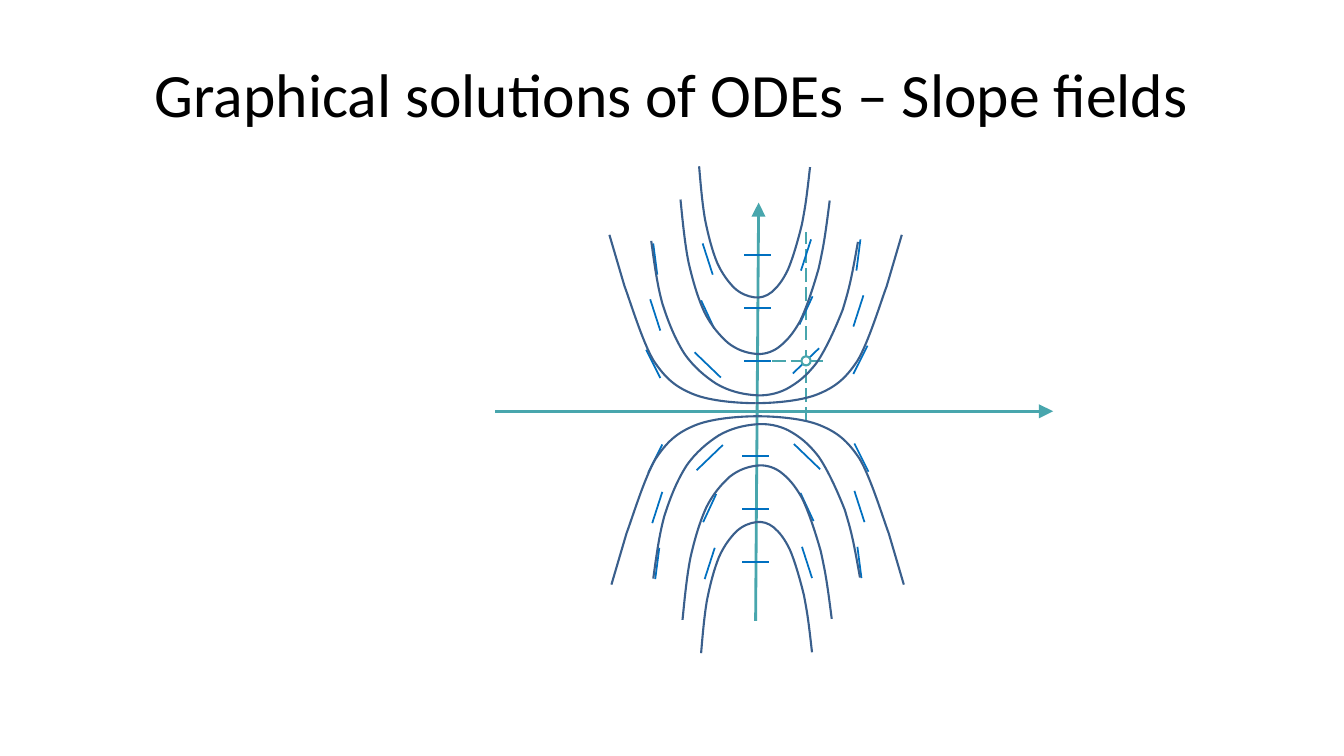
from lxml import etree
from pptx import Presentation
from pptx.dml.color import RGBColor
from pptx.enum.dml import MSO_LINE
from pptx.enum.shapes import MSO_CONNECTOR, MSO_SHAPE
from pptx.enum.text import MSO_ANCHOR, PP_ALIGN
from pptx.oxml.ns import qn
from pptx.util import Inches, Pt

BLACK = RGBColor(0x00, 0x00, 0x00)
WHITE = RGBColor(0xFF, 0xFF, 0xFF)
TEAL = RGBColor(0x48, 0xA6, 0xAD)
BLUE = RGBColor(0x00, 0x70, 0xC0)
NAVY = RGBColor(0x3A, 0x5F, 0x8C)

CELL = Inches(0.1)

BOWL_SIZE = (20.5, 15.3)
BOWL = [(0, 0), (0.3, 2.2), (0.6, 4.4), (1.1, 6.2), (1.7, 8.1), (2.4, 9.8), (3.3, 11.2),
        (4.2, 12.5), (5.4, 13.5), (6.5, 14.2), (7.7, 14.9), (9, 15.2), (10.2, 15.3),
        (11.3, 15.4), (12.4, 15.2), (13.4, 14.7), (14.5, 14.1), (15.4, 13.4), (16.4, 12.1),
        (17.3, 10.8), (18.3, 8.6), (19, 6.8), (19.6, 4.8), (19.8, 4.1), (20.5, 0.1)]
BOWLS = [(-10.45, 16.75, 20.5, 15.3), (-7.55, 20.85, 14.8, 15.3), (-5.7, 24.15, 11, 13)]

WING = [(0, 0), (1.7, 0), (4.5, 0.2), (6.2, 0.9), (7.9, 1.6), (8.9, 2.4), (10.1, 4.2),
        (11.2, 6), (12.5, 10.3), (13, 11.6), (14.5, 16.7)]

SLOPES = [(5, -5, 2.6, 2.5), (5, -10, 1.3, 2.8), (5, -15.5, 1, 3.1),
          (10.4, -5.1, 1.4, 2.8), (10.2, -9.95, 1, 3.1), (10.2, -15.5, 0.4, 3.1)]
QUADRANTS = [(-0.2, 0.1, 1, 1), (0.05, 0.5, -1, 1), (-0.1, -0.4, 1, -1), (0.25, -0.3, -1, -1)]
FLAT_ROWS = [(-1.3, -4.9, -5.25), (-1.5, 4.55, 5.25)]
FLAT_WIDTH = 2.6

AXES = [(-26, 0.1, 29.3, 0.1), (-0.2, 20.9, 0.1, -20.6)]
GUIDES = [(-0.5, -4.9, 6.5, -4.9), (4.8, 1.1, 4.8, -6.5), (4.8, -7, 4.8, -17.7)]
POINT = (4.8, -4.9, 0.9)


def add_title(s, box, text):
    tf = s.shapes.add_textbox(*box).text_frame
    tf.word_wrap = True
    tf.vertical_anchor = MSO_ANCHOR.MIDDLE
    p = tf.paragraphs[0]
    p.text = text
    p.alignment = PP_ALIGN.CENTER
    p.font.name = "Calibri"
    p.font.size = Pt(44)
    p.font.color.rgb = BLACK


def add_segment(s, origin, ends, color, width, dash=None, arrow=False):
    x1, y1, x2, y2 = (round(origin[i % 2] + v * CELL) for i, v in enumerate(ends))
    c = s.shapes.add_connector(MSO_CONNECTOR.STRAIGHT, x1, y1, x2, y2)
    c.line.color.rgb = color
    c.line.width = Pt(width)
    if dash:
        c.line.dash_style = dash
    if arrow:
        etree.SubElement(c.line._get_or_add_ln(), qn("a:tailEnd"),
                         type="triangle", w="lg", len="lg")
    etree.SubElement(c._element.spPr, qn("a:effectLst"))


def bend_segments(sp):
    lines = list(sp._element.iter(qn("a:lnTo")))
    for i in range(0, len(lines) - 2, 3):
        curve = etree.Element(qn("a:cubicBezTo"))
        lines[i].addprevious(curve)
        for line in lines[i:i + 3]:
            curve.append(line[0])
            line.getparent().remove(line)


def add_curve(s, origin, start, scale, nodes):
    points = [tuple(round(origin[i] + (start[i] + scale[i] * node[i]) * CELL) for i in (0, 1))
              for node in nodes]
    builder = s.shapes.build_freeform(*points[0])
    builder.add_line_segments(points[1:], close=False)
    sp = builder.convert_to_shape()
    bend_segments(sp)
    sp.shadow.inherit = False
    sp.fill.background()
    sp.line.color.rgb = NAVY
    sp.line.width = Pt(1.5)


def add_slope_marks(s, origin):
    for left, top, step in FLAT_ROWS:
        for row in range(3):
            y = top + row * step
            add_segment(s, origin, (left, y, left + FLAT_WIDTH, y), BLUE, 1.25)
    for x0, y0, sx, sy in QUADRANTS:
        for x, y, w, h in SLOPES:
            ends = (x0 + sx * (x - w / 2), y0 + sy * (y + h / 2),
                    x0 + sx * (x + w / 2), y0 + sy * (y - h / 2))
            add_segment(s, origin, ends, BLUE, 1.25)


def add_point(s, origin):
    x, y, d = POINT
    sp = s.shapes.add_shape(MSO_SHAPE.OVAL, round(origin[0] + (x - d / 2) * CELL),
                            round(origin[1] + (y - d / 2) * CELL),
                            round(d * CELL), round(d * CELL))
    sp.shadow.inherit = False
    sp.fill.solid()
    sp.fill.fore_color.rgb = WHITE
    sp.line.color.rgb = TEAL
    sp.line.width = Pt(1.5)


def add_solution_curves(s, origin):
    for side in (-1, 1):
        for x, y, w, h in BOWLS:
            scale = (w / BOWL_SIZE[0], side * h / BOWL_SIZE[1])
            add_curve(s, origin, (x - side * 0.1, -side * y - 0.05), scale, BOWL)
        for direction in (-1, 1):
            start = (-side * 0.1 - 0.1, -side * 0.65 - 0.05)
            add_curve(s, origin, start, (direction, -side), WING)


def add_slope_field(s, box):
    left, top, width, height = box
    origin = (left + 0.47 * width, top + 0.5 * height)
    for axis in AXES:
        add_segment(s, origin, axis, TEAL, 2, arrow=True)
    for guide in GUIDES:
        add_segment(s, origin, guide, TEAL, 1.25, dash=MSO_LINE.LONG_DASH)
    add_slope_marks(s, origin)
    add_point(s, origin)
    add_solution_curves(s, origin)


def main():
    prs = Presentation()
    prs.slide_width, prs.slide_height = Inches(13.33), Inches(7.5)
    s = prs.slides.add_slide(prs.slide_layouts[6])
    title_box = [round(v * CELL) for v in (6.65, 3, 120, 12.5)]
    field_box = [round(v * CELL) for v in (49.15, 16.5, 55.3, 48.4)]
    add_title(s, title_box, "Graphical solutions of ODEs – Slope fields")
    add_slope_field(s, field_box)
    prs.save("out.pptx")


if __name__ == "__main__":
    main()
